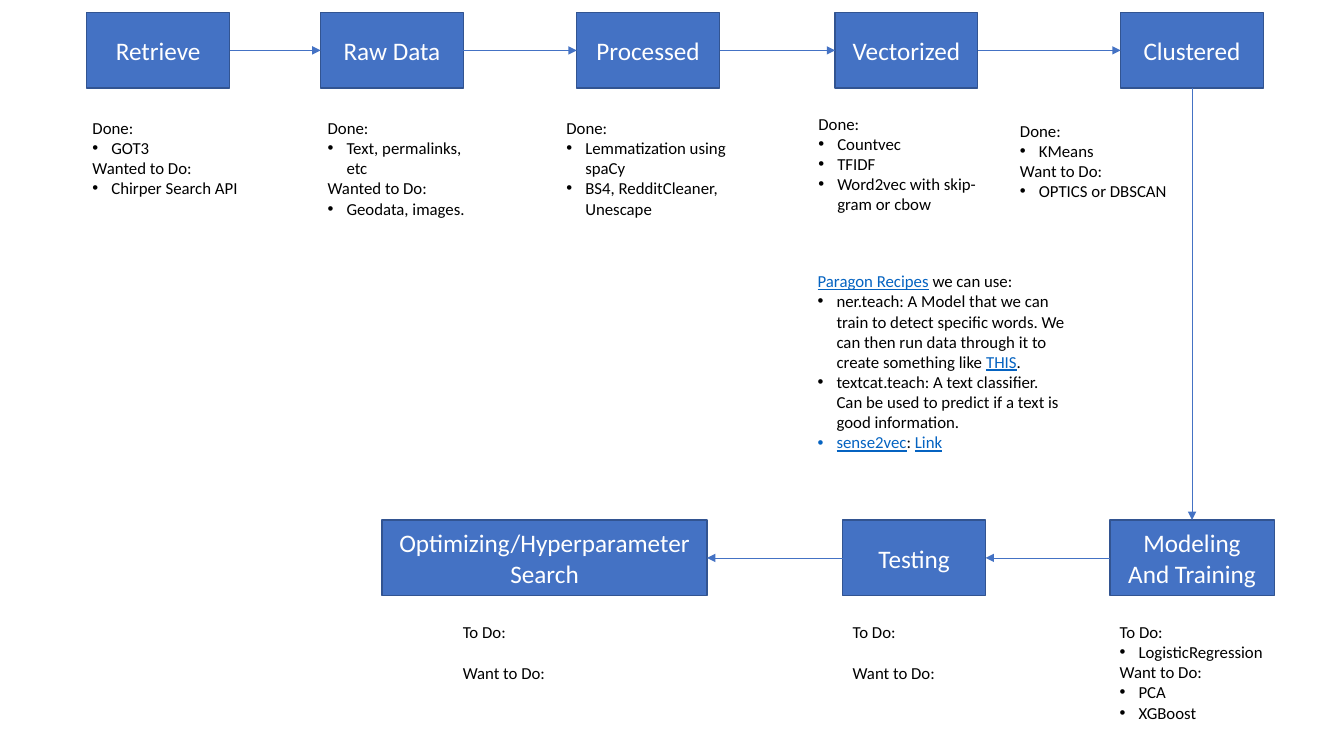
from dataclasses import dataclass

from lxml import etree
from pptx import Presentation
from pptx.dml.color import RGBColor
from pptx.enum.dml import MSO_FILL
from pptx.enum.shapes import MSO_CONNECTOR, MSO_SHAPE
from pptx.enum.text import MSO_ANCHOR, MSO_AUTO_SIZE, PP_ALIGN
from pptx.oxml.ns import qn
from pptx.util import Pt

STRAIGHT, RECTANGLE = MSO_CONNECTOR.STRAIGHT, MSO_SHAPE.RECTANGLE
MIDDLE, CENTER = MSO_ANCHOR.MIDDLE, PP_ALIGN.CENTER
GROW = MSO_AUTO_SIZE.SHAPE_TO_FIT_TEXT
FONT = "Calibri"
BLUE, OUTLINE, LINK = "4472C4", "325491", "0563C1"
WHITE, BLACK = "FFFFFF", "000000"
TOP, LEFT, BOTTOM, RIGHT = range(4)  # connection sites of a rectangle
TOP_ROW, BOTTOM_ROW, STAGE_HEIGHT, STAGE_WIDTH = 9, 371.5, 54, 102
BOTTOM_NOTES = 440.5
INDENT, BLANK_LINE = 13.5, 14.6


@dataclass(frozen=True)
class Stage:
    lines: tuple
    left: float
    top: float
    width: float = STAGE_WIDTH


@dataclass(frozen=True)
class Run:
    text: str
    link: bool = False


@dataclass(frozen=True)
class Line:
    runs: tuple
    bullet: bool = False
    gap: float = 0


@dataclass(frozen=True)
class Note:
    left: float
    top: float
    width: float
    height: float
    lines: tuple


def head(text: str, gap: float = 0) -> Line:
    return Line((Run(text),), gap=gap)


def item(text: str) -> Line:
    return Line((Run(text),), bullet=True)


STAGES = {
    "retrieve": Stage(("Retrieve",), 62, TOP_ROW),
    "raw": Stage(("Raw Data",), 229, TOP_ROW),
    "processed": Stage(("Processed",), 412, TOP_ROW),
    "vectorized": Stage(("Vectorized",), 596.5, TOP_ROW),
    "clustered": Stage(("Clustered",), 800.5, TOP_ROW),
    "modeling": Stage(("Modeling", "And Training"), 792.75, BOTTOM_ROW, 117.5),
    "testing": Stage(("Testing",), 602, BOTTOM_ROW),
    "search": Stage(("Optimizing/Hyperparameter Search",), 273, BOTTOM_ROW, 232),
}

FLOW = (
    ("retrieve", RIGHT, "raw", LEFT),
    ("raw", RIGHT, "processed", LEFT),
    ("processed", RIGHT, "vectorized", LEFT),
    ("vectorized", RIGHT, "clustered", LEFT),
    ("clustered", BOTTOM, "modeling", TOP),
    ("modeling", LEFT, "testing", RIGHT),
    ("testing", LEFT, "search", RIGHT),
)

OPEN_TASKS = (head("To Do:"), head("Want to Do:", gap=BLANK_LINE))

NOTES = (
    Note(59, 80.5, 119.5, 94, (
        head("Done:"), item("GOT3"),
        head("Wanted to Do:"), item("Chirper Search API"))),
    Note(227, 80.5, 119.5, 109, (
        head("Done:"), item("Text, permalinks, etc"),
        head("Wanted to Do:"), item("Geodata, images."))),
    Note(397.5, 80.5, 140.5, 80, (
        head("Done:"), item("Lemmatization using spaCy"),
        item("BS4, RedditCleaner, Unescape"))),
    Note(577.5, 77.5, 128, 80, (
        head("Done:"), item("Countvec"), item("TFIDF"),
        item("Word2vec with skip-gram or cbow"))),
    Note(721.5, 82.5, 119.5, 65.5, (
        head("Done:"), item("KMeans"),
        head("Want to Do:"), item("OPTICS or DBSCAN"))),
    Note(792.75, BOTTOM_NOTES, 119.5, 80, (
        head("To Do:"), item("LogisticRegression"),
        head("Want to Do:"), item("PCA"), item("XGBoost"))),
    Note(602, BOTTOM_NOTES, 119.5, 65.5, OPEN_TASKS),
    Note(323.5, BOTTOM_NOTES, 119.5, 65.5, OPEN_TASKS),
    Note(577, 190, 191, 152.5, (
        Line((Run("Paragon Recipes", link=True), Run(" we can use:"))),
        Line((Run("ner.teach: A Model that we can train to detect specific "
                  "words. We can then run data through it to create "
                  "something like "),
              Run("THIS", link=True), Run(".")), bullet=True),
        item("textcat.teach: A text classifier. Can be used to predict "
             "if a text is good information."),
        Line((Run("sense2vec", link=True), Run(": "),
              Run("Link", link=True)), bullet=True))),
)


def paint(target, color: str) -> None:
    """Colour a fill (made solid first) or a font colour."""
    if hasattr(target, "solid"):
        if target.type != MSO_FILL.SOLID:
            target.solid()
        target = target.fore_color
    target.rgb = RGBColor.from_string(color)


def write(paragraph, text: str, *, size: float, color: str,
          underline: bool = False) -> None:
    run = paragraph.add_run()
    run.text = text
    run.font.name = FONT
    run.font.size = Pt(size)
    run.font.underline = underline
    paint(run.font.color, color)


def next_paragraph(frame, index: int):
    return frame.add_paragraph() if index else frame.paragraphs[0]


def add_stage(shapes, stage: Stage):
    box = shapes.add_shape(RECTANGLE, Pt(stage.left), Pt(stage.top),
                           Pt(stage.width), Pt(STAGE_HEIGHT))
    box.shadow.inherit = False
    paint(box.fill, BLUE)
    paint(box.line.fill, OUTLINE)
    box.line.width = Pt(1)
    frame = box.text_frame
    frame.word_wrap = True
    frame.vertical_anchor = MIDDLE
    for index, text in enumerate(stage.lines):
        paragraph = next_paragraph(frame, index)
        paragraph.alignment = CENTER
        write(paragraph, text, size=18, color=WHITE)
    return box


def add_arrow(shapes, source, source_site: int, target, target_site: int) -> None:
    arrow = shapes.add_connector(STRAIGHT, 0, 0, 0, 0)
    arrow.begin_connect(source, source_site)
    arrow.end_connect(target, target_site)
    paint(arrow.line.fill, BLUE)
    arrow.line.width = Pt(0.5)
    etree.SubElement(arrow.line.fill._xPr, qn("a:tailEnd"), type="triangle")
    etree.SubElement(arrow._element.spPr, qn("a:effectLst"))


def add_bullet(paragraph) -> None:
    properties = paragraph._p.get_or_add_pPr()
    properties.set("marL", str(Pt(INDENT)))
    properties.set("indent", str(-Pt(INDENT)))
    etree.SubElement(properties, qn("a:buFont"), typeface="Arial")
    etree.SubElement(properties, qn("a:buChar"), char="•")


def add_note(shapes, note: Note) -> None:
    frame = shapes.add_textbox(Pt(note.left), Pt(note.top),
                               Pt(note.width), Pt(note.height)).text_frame
    frame.word_wrap = True
    frame.auto_size = GROW
    for index, line in enumerate(note.lines):
        paragraph = next_paragraph(frame, index)
        if line.gap:
            paragraph.space_before = Pt(line.gap)
        if line.bullet:
            add_bullet(paragraph)
        for run in line.runs:
            write(paragraph, run.text, size=12, underline=run.link,
                  color=LINK if run.link else BLACK)


presentation = Presentation()
presentation.slide_width, presentation.slide_height = Pt(960), Pt(540)
pipeline = presentation.slides.add_slide(presentation.slide_layouts[6]).shapes

# Pipeline stages and the arrows between them
stage_boxes = {key: add_stage(pipeline, stage) for key, stage in STAGES.items()}
for start, start_site, end, end_site in FLOW:
    add_arrow(pipeline, stage_boxes[start], start_site, stage_boxes[end], end_site)

# Task notes
for task_note in NOTES:
    add_note(pipeline, task_note)

presentation.save("out.pptx")
